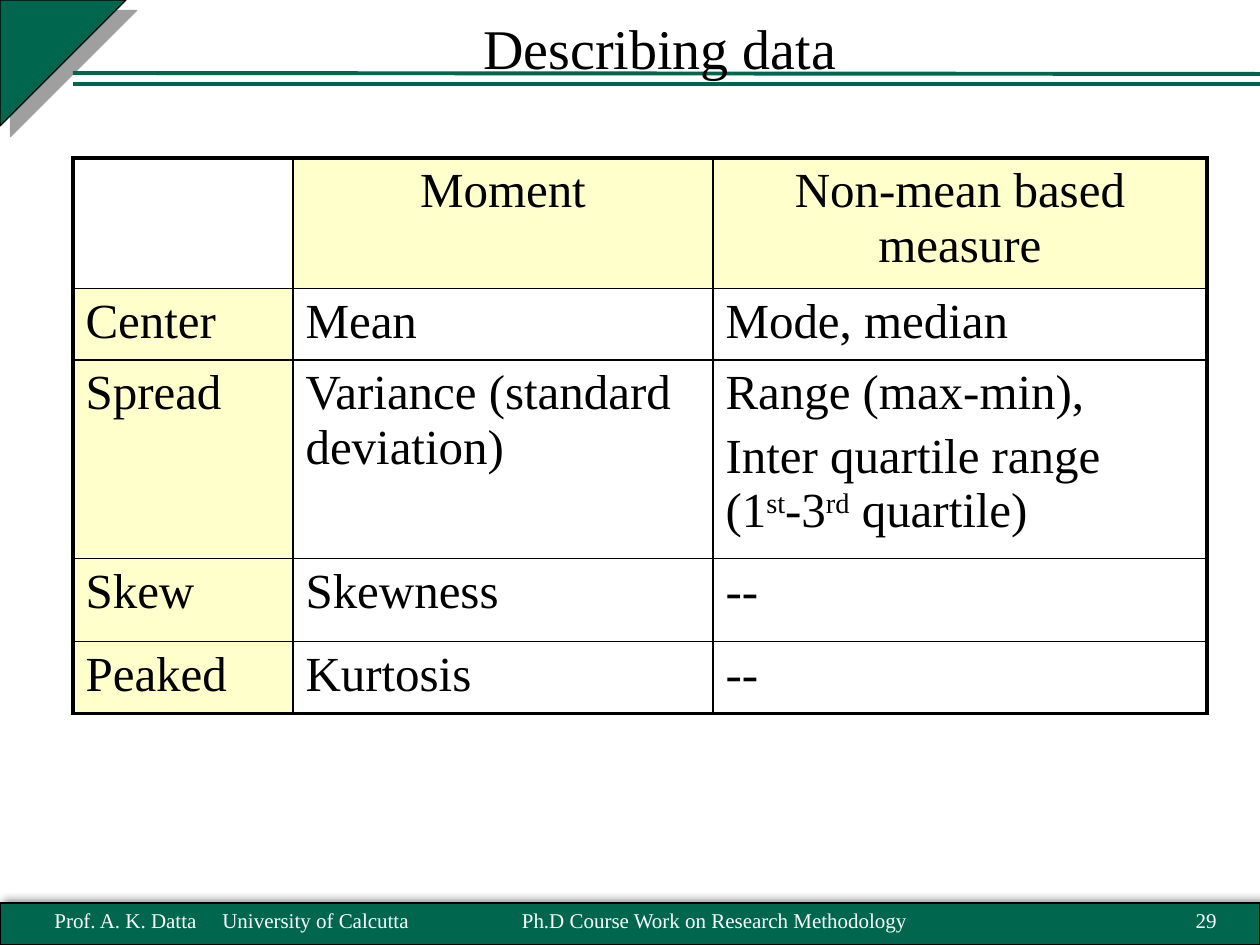
import pptx
import pptx.util
import pptx.dml.color
import pptx.enum.shapes
import pptx.enum.text
import pptx.oxml
import pptx.oxml.ns
import lxml.etree

COLORS = {"green": "00664D", "cream": "FFFFCC", "black": "000000",
          "white": "FFFFFF", "gray": "808080"}
FONT = "Times New Roman"
SCALE = 914400 / 126
SHAPE = pptx.enum.shapes.MSO_SHAPE
ALIGN = pptx.enum.text.PP_ALIGN
ANCHOR = pptx.enum.text.MSO_ANCHOR
THICK, THIN = 2.25, 1

ROWS = [
    ["", "Moment", "Non-mean based measure"],
    ["Center", "Mean", "Mode, median"],
    ["Spread", "Variance (standard deviation)",
     "Range (max-min),\nInter quartile range (1^st^-3^rd^ quartile)"],
    ["Skew", "Skewness", "--"],
    ["Peaked", "Kurtosis", "--"],
]
COL_WIDTHS = [220, 420, 494]
ROW_HEIGHTS = [120, 69, 185, 83, 72]


def px(n):
    return pptx.util.Emu(round(n * SCALE))


def rgb(name):
    return pptx.dml.color.RGBColor.from_string(COLORS[name])


def sub(parent, tag, **attrs):
    el = lxml.etree.SubElement(parent, pptx.oxml.ns.qn(tag))
    for key, value in attrs.items():
        el.set(key, str(value))
    return el


class Deck:
    def __init__(self, width, height):
        self.prs = pptx.Presentation()
        self.prs.slide_width, self.prs.slide_height = px(width), px(height)
        self.s = self.prs.slides.add_slide(self.prs.slide_layouts[6])

    def style_run(self, r, size, color):
        r.font.size = pptx.util.Pt(size)
        r.font.name = FONT
        r.font.color.rgb = rgb(color)

    def shape(self, kind, x, y, w, h, shadow, rotation=0):
        sp = self.s.shapes.add_shape(kind, px(x), px(y), px(w), px(h))
        sp.rotation = rotation
        sp.fill.solid()
        sp.fill.fore_color.rgb = rgb("green")
        sp.line.color.rgb = rgb("black")
        sp.line.width = pptx.util.Pt(0.75)
        sp.shadow.inherit = False
        color, alpha, blur, dist, angle = shadow
        effects = sp._element.spPr.find(pptx.oxml.ns.qn("a:effectLst"))
        outer = sub(effects, "a:outerShdw", blurRad=pptx.util.Pt(blur),
                    dist=pptx.util.Pt(dist), dir=angle * 60000, rotWithShape=0)
        clr = sub(outer, "a:srgbClr", val=COLORS[color])
        sub(clr, "a:alpha", val=alpha * 1000)

    def line(self, x1, y1, x2, y2):
        ln = self.s.shapes.add_connector(
            pptx.enum.shapes.MSO_CONNECTOR.STRAIGHT, px(x1), px(y1), px(x2), px(y2))
        ln.line.color.rgb = rgb("green")
        ln.line.width = pptx.util.Pt(2.25)
        sub(ln._element.spPr, "a:effectLst")

    def text(self, x, y, w, h, text, size, color, align=ALIGN.LEFT,
             anchor=ANCHOR.MIDDLE, top=6, tab=None):
        sp = self.s.shapes.add_textbox(px(x), px(y), px(w), px(h))
        tf = sp.text_frame
        tf.word_wrap = True
        tf.vertical_anchor = anchor
        tf.margin_top = px(top)
        tf.text = text
        p = tf.paragraphs[0]
        p.alignment = align
        if tab:
            tabs = sub(p._p.get_or_add_pPr(), "a:tabLst")
            sub(tabs, "a:tab", pos=px(tab), algn="l")
        for r in p.runs:
            self.style_run(r, size, color)

    def borders(self, cell, widths):
        tcPr = cell._tc.get_or_add_tcPr()
        for i, (side, width) in enumerate(zip("LRTB", widths)):
            ln = pptx.oxml.parse_xml(
                f'<a:ln{side} {pptx.oxml.ns.nsdecls("a")} w="{pptx.util.Pt(width)}">'
                f'<a:solidFill><a:srgbClr val="{COLORS["black"]}"/></a:solidFill>'
                f'</a:ln{side}>')
            tcPr.insert(i, ln)

    def cell(self, cell, text, size, align):
        tf = cell.text_frame
        for i, part in enumerate(text.split("\n")):
            p = tf.add_paragraph() if i else tf.paragraphs[0]
            p.alignment = align
            if i:
                p.space_before = pptx.util.Pt(5.5)
            for j, piece in enumerate(part.split("^")):
                if not piece:
                    continue
                r = p.add_run()
                r.text = piece
                self.style_run(r, size, "black")
                if j % 2:
                    r._r.get_or_add_rPr().set("baseline", "30000")

    def table(self, x, y, rows, widths, heights, size):
        tbl = self.s.shapes.add_table(len(rows), len(widths), px(x), px(y),
                                      px(sum(widths)), px(sum(heights))).table
        tbl.first_row = tbl.horz_banding = False
        for col, width in zip(tbl.columns, widths):
            col.width = px(width)
        for row, height in zip(tbl.rows, heights):
            row.height = px(height)
        last_row, last_col = len(rows) - 1, len(widths) - 1
        for i, row in enumerate(rows):
            for j, text in enumerate(row):
                cell = tbl.cell(i, j)
                self.cell(cell, text, size, ALIGN.LEFT if i else ALIGN.CENTER)
                if (i == 0) != (j == 0):
                    cell.fill.solid()
                    cell.fill.fore_color.rgb = rgb("cream")
                else:
                    cell.fill.background()
                outer = (j == 0, j == last_col, i == 0, i == last_row)
                self.borders(cell, [THICK if edge else THIN for edge in outer])


def main():
    deck = Deck(1260, 945)
    deck.shape(SHAPE.RECTANGLE, 0, 903, 1260, 42, ("black", 40, 4, 3, 315))
    deck.shape(SHAPE.RIGHT_TRIANGLE, 0, 0, 126, 126, ("gray", 75, 0, 8.5, 45), 90)
    deck.line(73, 84, 1260, 84)
    deck.line(73, 73, 1260, 74)
    deck.text(105, 0, 1110, 69, "Describing data", 32, "black",
              ALIGN.CENTER, ANCHOR.TOP, top=14)
    deck.table(73, 158, ROWS, COL_WIDTHS, ROW_HEIGHTS, 28)
    deck.text(42, 895, 431, 50, "Prof. A. K. Datta\tUniversity of Calcutta",
              12, "white", tab=168)
    deck.text(1166, 895, 63, 50, "29", 12, "white", ALIGN.RIGHT)
    deck.text(431, 895, 567, 50, "Ph.D Course Work on Research Methodology",
              12, "white", ALIGN.CENTER)
    deck.prs.save("out.pptx")


if __name__ == "__main__":
    main()
